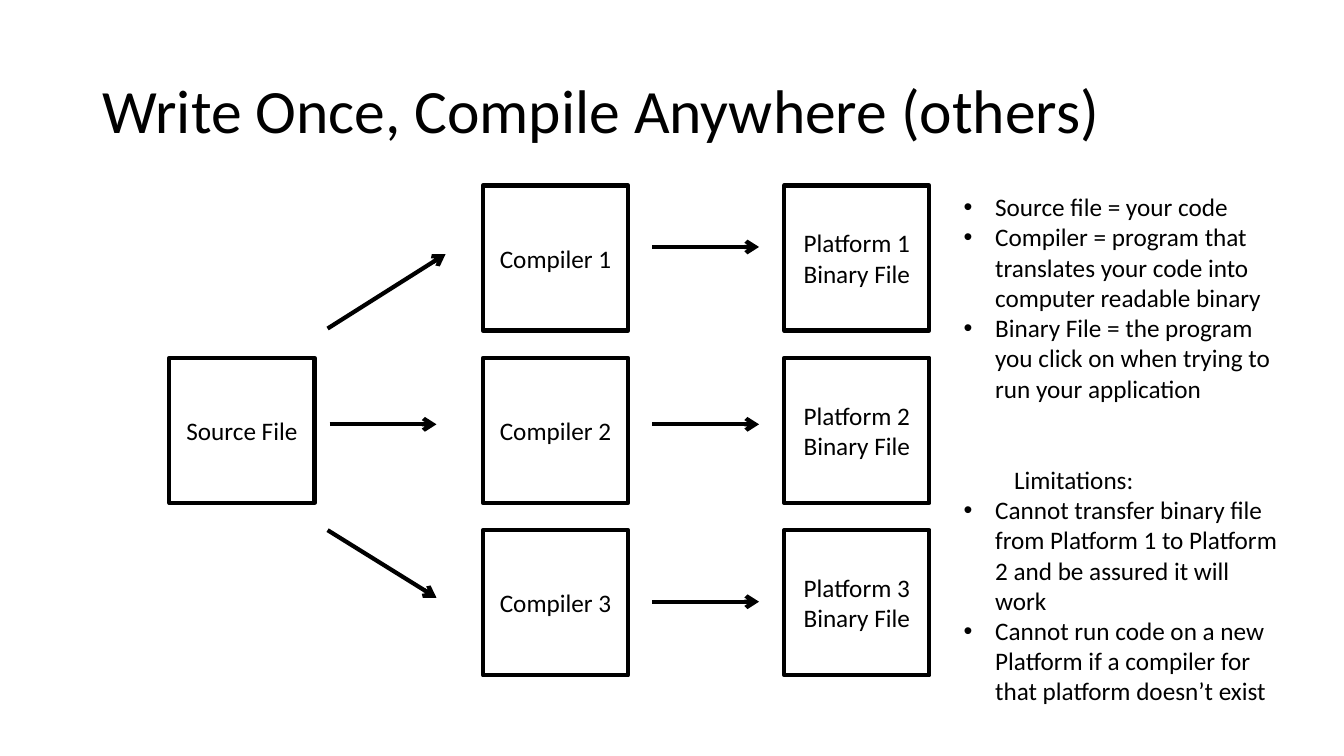
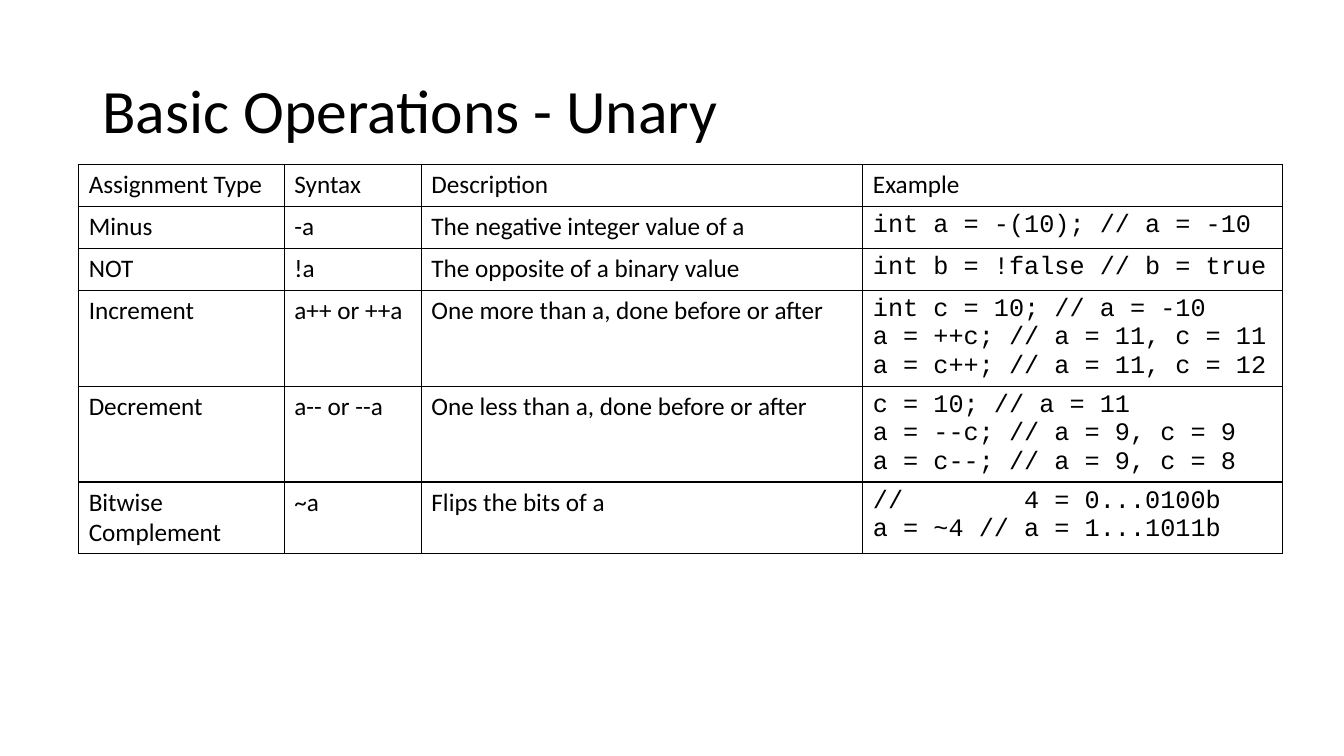
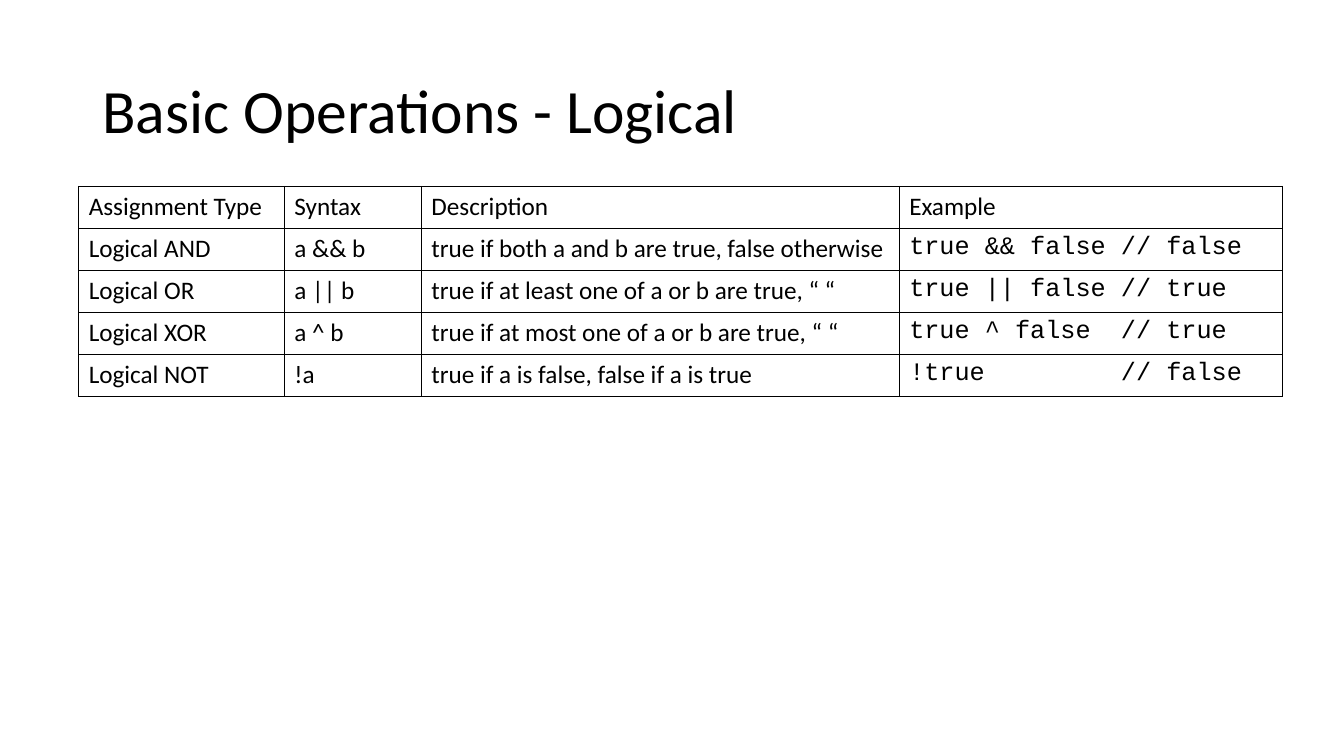
from lxml.etree import SubElement
from pptx import Presentation
from pptx.dml.color import RGBColor
from pptx.enum.shapes import MSO_CONNECTOR as Connector, MSO_SHAPE as Shape
from pptx.enum.text import MSO_ANCHOR as Anchor, MSO_AUTO_SIZE as AutoSize, PP_ALIGN as Align
from pptx.oxml import parse_xml
from pptx.oxml.ns import nsdecls, qn
from pptx.util import Pt

INK = "000000"
BODY_FONT, CODE_FONT = "Calibri", "Courier New"
BODY_SIZE, TITLE_SIZE = 18, 44
LINE_WIDTH, BORDER_WIDTH = 3, 1
TITLE_BOX = (66, 29, 828, 104.4)
TITLE_ONLY, TITLE_AND_BODY = 5, 1
TABLE_LEFT, ROW_HEIGHT = 56.2, 30

DEFINITIONS = [
    "Source file = your code",
    "Compiler = program that translates your code into computer readable binary",
    "Binary File = the program you click on when trying to run your application",
]
LIMITATIONS = [
    "Cannot transfer binary file from Platform 1 to Platform 2 and be assured it will work",
    "Cannot run code on a new Platform if a compiler for that platform doesn’t exist",
]
HEADER = ("Assignment Type", "Syntax", "Description", "Example")
UNARY_ROWS = [
    HEADER,
    ("Minus", "-a", "The negative integer value of a", "int a = -(10); // a = -10"),
    ("NOT", "!a", "The opposite of a binary value", "int b = !false // b = true"),
    ("Increment", "a++ or ++a", "One more than a, done before or after",
     "int c = 10; // a = -10\na = ++c; // a = 11, c = 11\na = c++; // a = 11, c = 12"),
    ("Decrement", "a-- or --a", "One less than a, done before or after",
     "c = 10; // a = 11\na = --c; // a = 9, c = 9\na = c--; // a = 9, c = 8"),
    ("Bitwise Complement", "~a", "Flips the bits of a",
     "//        4 = 0...0100b\na = ~4 // a = 1...1011b"),
]
LOGICAL_ROWS = [
    HEADER,
    ("Logical AND", "a && b", "true if both a and b are true, false otherwise", "true && false // false"),
    ("Logical OR", "a || b", "true if at least one of a or b are true, “ “", "true || false // true"),
    ("Logical XOR", "a ^ b", "true if at most one of a or b are true, “ “", "true ^ false  // true"),
    ("Logical NOT", "!a", "true if a is false, false if a is true", "!true         // false"),
]


def color(hex_string):
    """Turn a hex string into a colour."""
    return RGBColor.from_string(hex_string)


def points(*values):
    """Turn numbers into lengths in points."""
    return [Pt(value) for value in values]


def format_text(text_frame, size=BODY_SIZE, font=BODY_FONT, align=Align.LEFT):
    """Give every paragraph and run of a text frame one style."""
    for paragraph in text_frame.paragraphs:
        paragraph.alignment = align
        for run in paragraph.runs:
            run.font.name, run.font.size, run.font.bold = font, Pt(size), False
            run.font.color.rgb = color(INK)


def move(shape, box):
    """Place a shape in a box."""
    shape.left, shape.top, shape.width, shape.height = points(*box)


def add_slide(presentation, layout_index, title_text):
    """Add a slide with the shared title."""
    slide = presentation.slides.add_slide(presentation.slide_layouts[layout_index])
    title = slide.shapes.title
    move(title, TITLE_BOX)
    title.text_frame.text = title_text
    title.text_frame.vertical_anchor = Anchor.MIDDLE
    title.text_frame.paragraphs[0].line_spacing = 0.9
    format_text(title.text_frame, TITLE_SIZE)
    return slide


def add_box(slide, left, top, size, label):
    """Draw an outlined square with a centred label."""
    square = slide.shapes.add_shape(Shape.RECTANGLE, *points(left, top, size, size))
    square.shadow.inherit = False
    square.fill.background()
    square.line.color.rgb = color(INK)
    square.line.width = Pt(LINE_WIDTH)
    square.text_frame.word_wrap = True
    square.text_frame.vertical_anchor = Anchor.MIDDLE
    square.text_frame.text = label
    format_text(square.text_frame, align=Align.CENTER)


def add_arrow(slide, start, end):
    """Draw an arrow between two points."""
    arrow = slide.shapes.add_connector(Connector.STRAIGHT, *points(*start, *end))
    arrow.line.color.rgb = color(INK)
    arrow.line.width = Pt(LINE_WIDTH)
    properties = arrow.element.spPr
    SubElement(properties.find(qn("a:ln")), qn("a:tailEnd"), type="arrow")
    SubElement(properties, qn("a:effectLst"))


def add_compile_diagram(slide, left, top):
    """Draw the flow from source file through compilers to binaries."""
    size, row_pitch, arrow_pitch = 103.7, 123.1, 126.7
    compiler_left, platform_left = left + 224, left + 439.2
    add_box(slide, left, top + row_pitch, size, "Source File")
    for row in range(3):
        box_top = top + row * row_pitch
        add_box(slide, compiler_left, box_top, size, f"Compiler {row + 1}")
        add_box(slide, platform_left, box_top, size, f"Platform {row + 1} Binary File")
        arrow_y = top + 43.9 + row * arrow_pitch
        add_arrow(slide, (left + 344.9, arrow_y), (left + 421.2, arrow_y))
    fan = [((113, 102.2), (197.3, 49)), ((114.5, 170.6), (190.8, 170.6)),
           ((113, 246.2), (190.8, 294.5))]
    for (start_x, start_y), (end_x, end_y) in fan:
        add_arrow(slide, (left + start_x, top + start_y), (left + end_x, top + end_y))


def set_bullet(paragraph, bulleted):
    """Give a paragraph a hanging bullet, or a plain first-line indent."""
    properties = paragraph._p.get_or_add_pPr()
    margin, indent = (22.5, -22.5) if bulleted else (0, 36)
    properties.set("marL", str(Pt(margin)))
    properties.set("indent", str(Pt(indent)))
    if bulleted:
        SubElement(properties, qn("a:buFont"), typeface="Arial")
        SubElement(properties, qn("a:buChar"), char="•")
    else:
        SubElement(properties, qn("a:buNone"))


def fill_notes_list(body, box):
    """Fill the body with definitions and limitations."""
    move(body, box)
    heading = "Limitations:"
    text_frame = body.text_frame
    text_frame.word_wrap = True
    text_frame.auto_size = AutoSize.NONE
    text_frame.vertical_anchor = Anchor.TOP
    text_frame.text = "\n".join([*DEFINITIONS, heading, *LIMITATIONS])
    for paragraph in text_frame.paragraphs:
        is_heading = paragraph.text == heading
        set_bullet(paragraph, not is_heading)
        paragraph.space_before = Pt(43.5 if is_heading else 0)
    format_text(text_frame)


def set_borders(cell):
    """Draw the four borders of a cell."""
    properties = cell._tc.get_or_add_tcPr()
    for index, side in enumerate("LRTB"):
        properties.insert(index, parse_xml(
            f'<a:ln{side} {nsdecls("a")} w="{Pt(BORDER_WIDTH)}"><a:solidFill>'
            f'<a:srgbClr val="{INK}"/></a:solidFill></a:ln{side}>'))


def add_operations_table(slide, left, top, column_widths, rows):
    """Add a bordered table whose last column holds code."""
    frame = slide.shapes.add_table(
        len(rows), len(column_widths),
        *points(left, top, sum(column_widths), ROW_HEIGHT * len(rows)))
    table = frame.table
    table.first_row = table.horz_banding = False
    for column, width in zip(table.columns, column_widths):
        column.width = Pt(width)
    for row_index, row in enumerate(rows):
        table.rows[row_index].height = Pt(ROW_HEIGHT)
        for column_index, text in enumerate(row):
            cell = table.cell(row_index, column_index)
            cell.text_frame.text = text
            is_code = row_index > 0 and column_index == len(row) - 1
            format_text(cell.text_frame, font=CODE_FONT if is_code else BODY_FONT)
            cell.fill.background()
            set_borders(cell)


def main():
    """Build and save the three slides."""
    presentation = Presentation()
    presentation.slide_width, presentation.slide_height = points(960, 540)

    compile_slide = add_slide(presentation, TITLE_AND_BODY, "Write Once, Compile Anywhere (others)")
    add_compile_diagram(compile_slide, 121, 132.5)
    fill_notes_list(compile_slide.placeholders[1], (681.1, 133.2, 244.1, 378))

    unary_slide = add_slide(presentation, TITLE_ONLY, "Basic Operations - Unary")
    add_operations_table(unary_slide, TABLE_LEFT, 117.4, (146.9, 97.9, 315.4, 299.5), UNARY_ROWS)

    logical_slide = add_slide(presentation, TITLE_ONLY, "Basic Operations - Logical")
    add_operations_table(logical_slide, TABLE_LEFT, 133.2, (146.9, 97.9, 341.3, 273.6), LOGICAL_ROWS)

    presentation.save("out.pptx")


if __name__ == "__main__":
    main()
